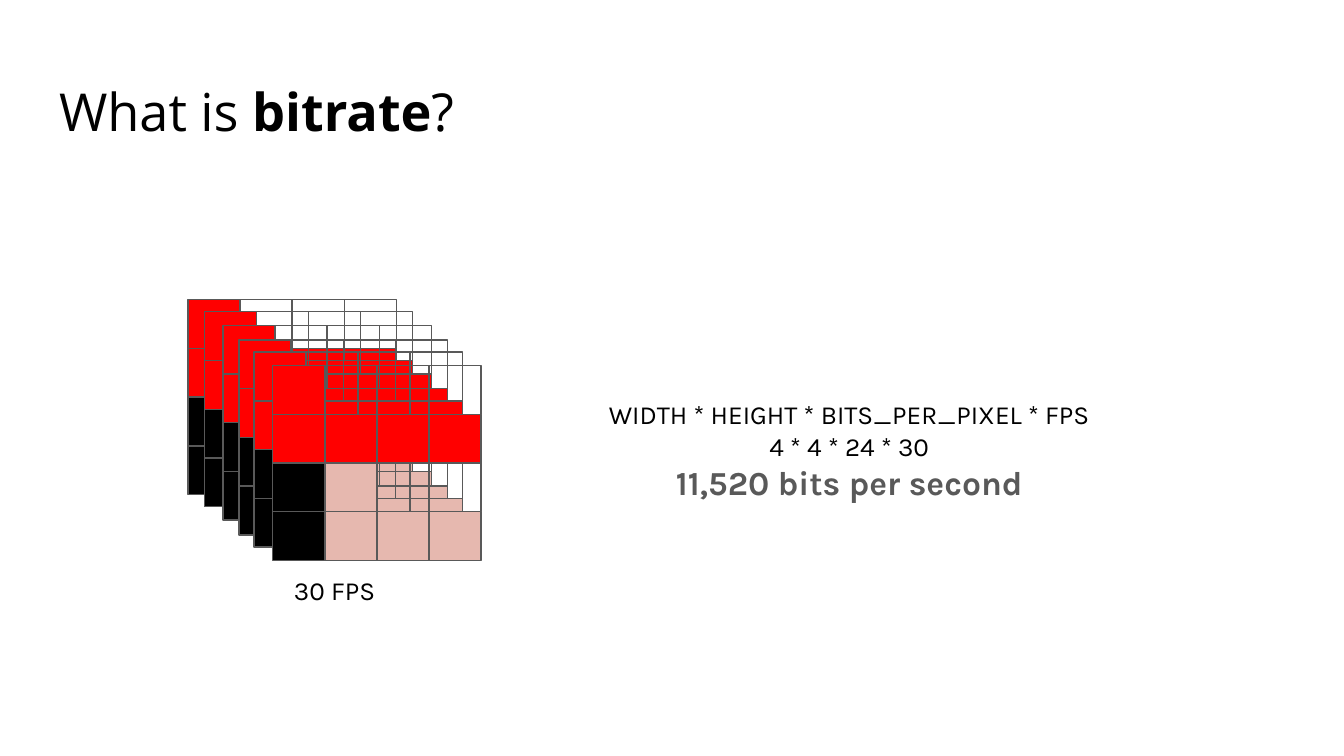
from dataclasses import dataclass

from pptx import Presentation
from pptx.dml.color import RGBColor
from pptx.enum import shapes, text
from pptx.util import Inches, Pt


@dataclass(frozen=True)
class Theme:
    black: str = "000000"
    gray: str = "595959"
    red: str = "FF0000"
    pink: str = "E6B8AF"
    title_font: str = "Open Sans"
    body_font: str = "Karla"
    title_size: int = 28
    body_size: int = 14
    result_size: int = 18
    line_width: float = 0.75


theme = Theme()


def add_run(p, content, font=theme.body_font, size=theme.body_size,
            color=theme.black, bold=False):
    r = p.add_run()
    r.text = content
    r.font.name = font
    r.font.size = Pt(size)
    r.font.bold = bold
    r.font.color.rgb = RGBColor.from_string(color)


def set_frame(sp, anchor):
    """Wrap the text, keep the box size and set the insets and anchor."""
    tf = sp.text_frame
    tf.word_wrap = True
    tf.auto_size = text.MSO_AUTO_SIZE.NONE
    tf.vertical_anchor = anchor
    tf.margin_left = tf.margin_right = Inches(0.1)
    tf.margin_top = tf.margin_bottom = Inches(0.1)
    return tf


prs = Presentation()
prs.slide_width = Inches(10)
prs.slide_height = Inches(10 * 9 / 16)
s = prs.slides.add_slide(prs.slide_layouts[5])

# Title
title = s.shapes.title
title.left, title.top = Inches(0.34), Inches(0.49)
title.width, title.height = Inches(9.32), Inches(0.63)
p = set_frame(title, text.MSO_ANCHOR.TOP).paragraphs[0]
p.alignment = text.PP_ALIGN.LEFT
for content, bold in (("What is ", False), ("bitrate", True), ("?", False)):
    add_run(p, content, font=theme.title_font, size=theme.title_size, bold=bold)

# Stack of video frames, each a grid of 4 x 4 pixels
frame_origins = [(1.4, 2.23), (1.52, 2.32), (1.66, 2.42),
                 (1.78, 2.53), (1.89, 2.62), (2.03, 2.72)]
pixel_rows = ["R...", "RRRR", "KP..", "KPPP"]
pixel_colors = {"R": theme.red, "K": theme.black, "P": theme.pink}
pixel_w, pixel_h = 1.55 / 4, 1.45 / 4

for left, top in frame_origins:
    frame = s.shapes.add_group_shape()
    for row, pixels in enumerate(pixel_rows):
        for col, code in enumerate(pixels):
            sp = frame.shapes.add_shape(
                shapes.MSO_SHAPE.RECTANGLE,
                Inches(left + col * pixel_w), Inches(top + row * pixel_h),
                Inches(pixel_w), Inches(pixel_h))
            sp.shadow.inherit = False
            sp.line.color.rgb = RGBColor.from_string(theme.gray)
            sp.line.width = Pt(theme.line_width)
            if code in pixel_colors:
                sp.fill.solid()
                sp.fill.fore_color.rgb = RGBColor.from_string(pixel_colors[code])
            else:
                sp.fill.background()

# Frame rate caption and bitrate formula
result_format = {"size": theme.result_size, "color": theme.gray, "bold": True}
text_boxes = [
    ((1.4, 4.17, 2.18, 0.42), text.MSO_ANCHOR.TOP, [("30 FPS", {})]),
    ((3.17, 2.71, 6.3, 1.28), text.MSO_ANCHOR.MIDDLE, [
        ("WIDTH * HEIGHT * BITS_PER_PIXEL * FPS", {}),
        ("4 * 4 * 24 * 30", {}),
        ("11,520 bits per second", result_format),
    ]),
]
for box, anchor, lines in text_boxes:
    tf = set_frame(s.shapes.add_textbox(*map(Inches, box)), anchor)
    for i, (content, style) in enumerate(lines):
        p = tf.add_paragraph() if i else tf.paragraphs[0]
        p.alignment = text.PP_ALIGN.CENTER
        add_run(p, content, **style)

prs.save("out.pptx")
